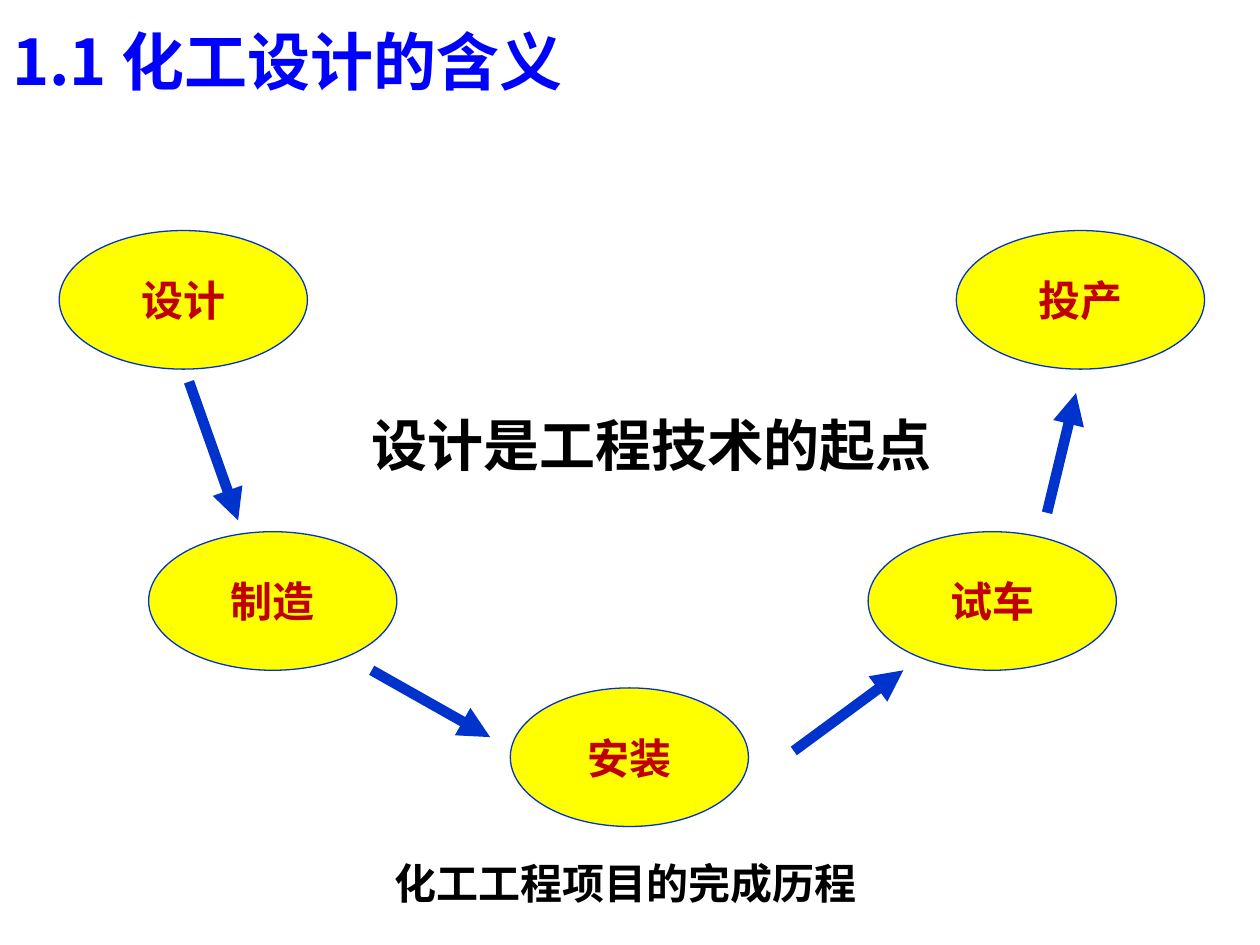
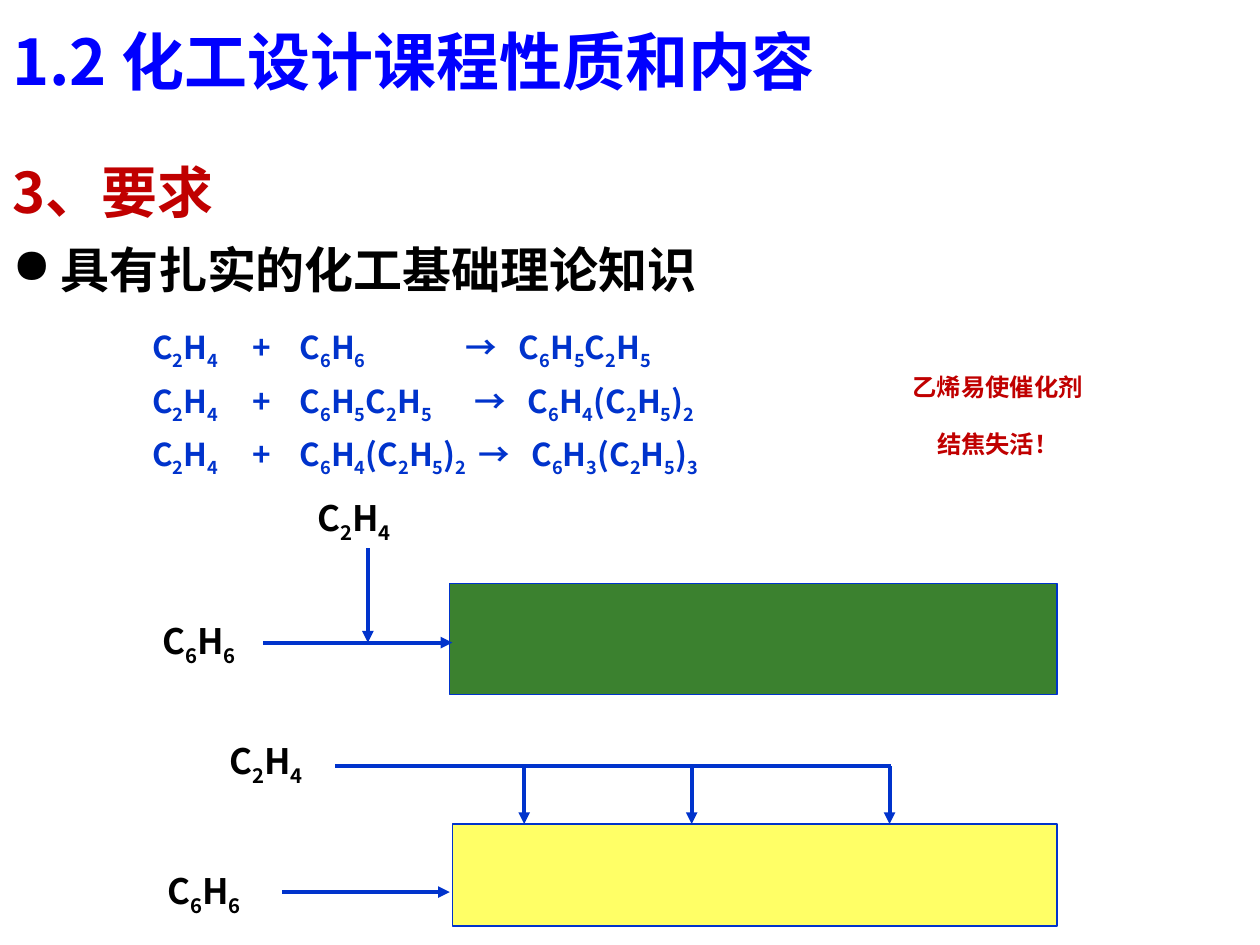
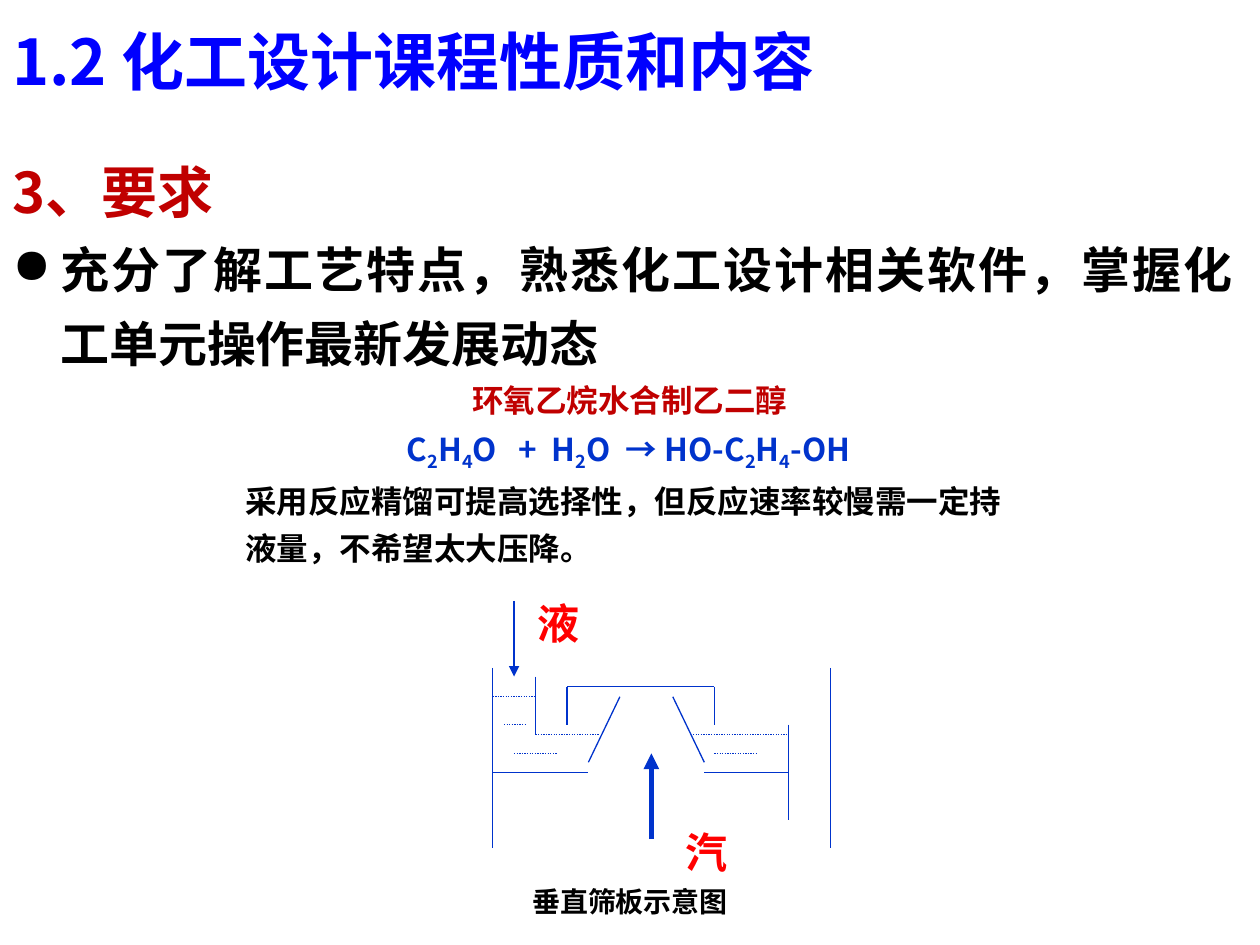
import itertools
from dataclasses import dataclass

import pptx
import pptx.dml.color
import pptx.enum.dml
import pptx.enum.shapes
import pptx.enum.text
import pptx.oxml
import pptx.oxml.ns
import pptx.util
from lxml import etree

Inches = pptx.util.Inches
Align = pptx.enum.text.PP_ALIGN
Shape = pptx.enum.shapes.MSO_SHAPE
qn = pptx.oxml.ns.qn


@dataclass(frozen=True)
class Theme:
    font: str = "Noto Sans CJK SC"
    title: str = "0000FF"
    accent: str = "C00000"
    label: str = "FF0000"
    ink: str = "000000"
    line: str = "0033CC"
    oval: str = "FFFF00"
    reactor: str = "3B812F"
    staged_reactor: str = "FFFF66"
    title_size: int = 36
    heading_size: int = 32
    point_size: int = 28
    label_size: int = 24
    formula_size: int = 20
    text_size: int = 18
    caption_size: int = 16
    spacing: float = 1.25
    thin: float = 0.75
    medium: float = 2.25
    thick: float = 6


THEME = Theme()


# Text
def rgb(color):
    return pptx.dml.color.RGBColor.from_string(color)


def style_paragraph(para, size, color, align=None, spacing=None):
    para.alignment = align
    if spacing:
        para.line_spacing = spacing
    font = para.font
    font.size = pptx.util.Pt(size)
    font.bold = True
    font.color.rgb = rgb(color)
    font.name = THEME.font
    etree.SubElement(font._rPr, qn("a:ea")).set("typeface", THEME.font)


def add_span(para, text, lowered=False):
    span = para.add_run()
    span.text = text
    if lowered:
        span._r.get_or_add_rPr().set("baseline", "-25000")


def add_formula(para, text):
    """Write a chemical formula with every number as a subscript."""
    for lowered, letters in itertools.groupby(text, str.isdigit):
        add_span(para, "".join(letters), lowered)


def set_tabs(para, stops):
    tabs = etree.SubElement(para._p.get_or_add_pPr(), qn("a:tabLst"))
    for stop in stops:
        etree.SubElement(tabs, qn("a:tab"), pos=str(Inches(stop)), algn="l")


def set_hanging(para, indent, bullet=None):
    props = para._p.get_or_add_pPr()
    props.set("marL", str(Inches(indent)))
    props.set("indent", str(-Inches(indent)))
    if bullet:
        etree.SubElement(props, qn("a:buChar")).set("char", bullet)


def add_frame(page, left, top, width, height):
    box = page.shapes.add_textbox(*map(Inches, (left, top, width, height)))
    box.text_frame.word_wrap = True
    return box.text_frame


def add_label(page, place, text, size, color, align=None, write=add_span):
    para = add_frame(page, *place).paragraphs[0]
    write(para, text)
    style_paragraph(para, size, color, align)


def add_title(page, text):
    add_label(page, (0, 0.13, 10, 0.75), text, THEME.title_size, THEME.title)


def add_requirement(page, text, height):
    frame = add_frame(page, 0, 1.07, 9.88, height)
    heading, point = frame.paragraphs[0], frame.add_paragraph()
    add_span(heading, "3、要求")
    set_hanging(heading, 0.62)
    style_paragraph(heading, THEME.heading_size, THEME.accent, Align.JUSTIFY, THEME.spacing)
    add_span(point, text)
    set_hanging(point, 0.38, "●")
    style_paragraph(point, THEME.point_size, THEME.ink, Align.JUSTIFY, THEME.spacing)


# Shapes and lines
def add_block(page, kind, place, fill):
    block = page.shapes.add_shape(kind, *map(Inches, place))
    block.shadow.inherit = False
    block.fill.solid()
    block.fill.fore_color.rgb = rgb(fill)
    block.line.color.rgb = rgb(THEME.line)
    block.line.width = pptx.util.Pt(THEME.thin)
    return block


def add_step(page, text, left, top, width=1.97):
    frame = add_block(page, Shape.OVAL, (left, top, width, 1.1), THEME.oval).text_frame
    frame.word_wrap = False
    frame.vertical_anchor = pptx.enum.text.MSO_ANCHOR.MIDDLE
    add_span(frame.paragraphs[0], text)
    style_paragraph(frame.paragraphs[0], THEME.label_size, THEME.accent, Align.CENTER)


def add_line(page, ends, width=THEME.thin, arrow=False, dotted=False):
    line = page.shapes.add_connector(
        pptx.enum.shapes.MSO_CONNECTOR.STRAIGHT, *map(Inches, ends))
    line.line.color.rgb = rgb(THEME.line)
    line.line.width = pptx.util.Pt(width)
    if dotted:
        line.line.dash_style = pptx.enum.dml.MSO_LINE.ROUND_DOT
    if arrow:
        etree.SubElement(line.line._get_or_add_ln(), qn("a:tailEnd")).set("type", "triangle")
    etree.SubElement(line._element.spPr, qn("a:effectLst"))


# Slides
def build_meaning(page):
    add_title(page, "1.1 化工设计的含义")
    add_step(page, "设计", 0.47, 1.83)
    add_step(page, "制造", 1.18, 4.22)
    add_step(page, "安装", 4.05, 5.46, 1.89)
    add_step(page, "试车", 6.89, 4.22)
    add_step(page, "投产", 7.59, 1.83)
    for ends in ((1.5, 3.03, 1.89, 4.13), (2.95, 5.32, 3.89, 5.85),
                 (6.3, 5.96, 7.17, 5.32), (8.31, 4.07, 8.54, 3.12)):
        add_line(page, ends, THEME.thick, arrow=True)
    add_label(page, (3.03, 6.76, 4.22, 0.5), "化工工程项目的完成历程",
              THEME.label_size, THEME.ink)
    add_label(page, (2.75, 3.21, 4.84, 0.64), "设计是工程技术的起点",
              THEME.heading_size, THEME.ink, Align.CENTER)


def add_reactions(page):
    frame = add_frame(page, 1.11, 2.47, 5.77, 1.2)
    reactions = (("C6H6", "C6H5C2H5", 2.49), ("C6H5C2H5", "C6H4(C2H5)2", 2.56),
                 ("C6H4(C2H5)2", "C6H3(C2H5)3", 2.59))
    for index, (reactant, product, arrow_stop) in enumerate(reactions):
        para = frame.add_paragraph() if index else frame.paragraphs[0]
        add_formula(para, f"C2H4\t+\t{reactant}\t→\t{product}")
        para.line_spacing = THEME.spacing
        set_tabs(para, (0.8, 1.17, arrow_stop, arrow_stop + 0.42))
        style_paragraph(para, THEME.text_size, THEME.line)


def build_theory(page):
    add_title(page, "1.2 化工设计课程性质和内容")
    add_requirement(page, "具有扎实的化工基础理论知识", 1.34)
    add_reactions(page)

    # Staged feed
    add_block(page, Shape.RECTANGLE, (3.59, 6.54, 4.8, 0.81), THEME.staged_reactor)
    add_line(page, (2.66, 6.08, 7.07, 6.08), THEME.medium)
    for inlet in (4.16, 5.49, 7.06):
        add_line(page, (inlet, 6.08, inlet, 6.54), THEME.medium, arrow=True)
    add_line(page, (2.24, 7.08, 3.57, 7.08), THEME.medium, arrow=True)

    # Single feed
    add_block(page, Shape.RECTANGLE, (3.57, 4.63, 4.82, 0.88), THEME.reactor)
    add_line(page, (2.09, 5.1, 3.59, 5.1), THEME.medium, arrow=True)
    add_line(page, (2.92, 4.35, 2.92, 5.1), THEME.medium, arrow=True)

    for formula, left, top in (("C2H4", 1.72, 5.82), ("C6H6", 1.23, 6.85),
                               ("C2H4", 2.42, 3.89), ("C6H6", 1.19, 4.87)):
        add_label(page, (left, top, 1.1, 0.44), formula, THEME.formula_size,
                  THEME.ink, write=add_formula)

    # Warning
    frame = add_frame(page, 6.5, 2.68, 2.84, 0.77)
    for para, text in ((frame.paragraphs[0], "乙烯易使催化剂"),
                       (frame.add_paragraph(), "结焦失活！")):
        add_span(para, text, lowered=True)
        style_paragraph(para, THEME.label_size, THEME.accent, Align.CENTER)


def add_hydration(page):
    frame = add_frame(page, 1.85, 2.9, 6.3, 1.65)
    heading, equation, remark = (
        frame.paragraphs[0], frame.add_paragraph(), frame.add_paragraph())
    add_span(heading, "环氧乙烷水合制乙二醇")
    style_paragraph(heading, THEME.text_size, THEME.accent, Align.CENTER, THEME.spacing)
    add_formula(equation, "\tC2H4O\t+\tH2O\t→ HO-C2H4-OH")
    equation.line_spacing = THEME.spacing
    set_tabs(equation, (1.28, 2.17, 2.43, 3.02))
    style_paragraph(equation, THEME.text_size, THEME.line)
    add_span(remark, "采用反应精馏可提高选择性，但反应速率较慢需一定持液量，不希望太大压降。")
    style_paragraph(remark, THEME.text_size, THEME.ink, spacing=THEME.spacing)


def build_process(page):
    add_title(page, "1.2 化工设计课程性质和内容")
    add_requirement(page, "充分了解工艺特点，熟悉化工设计相关软件，掌握化工单元操作最新发展动态", 1.89)
    add_hydration(page)

    # Column walls, tray floor, riser, cap and weirs
    for ends in ((3.91, 5.3, 3.91, 6.73), (6.59, 5.3, 6.59, 6.73),
                 (3.91, 6.13, 4.67, 6.13), (5.59, 6.13, 6.26, 6.13),
                 (4.92, 5.53, 4.67, 6.05), (5.34, 5.53, 5.59, 6.05),
                 (4.5, 5.45, 4.5, 5.75), (4.5, 5.45, 5.67, 5.45),
                 (5.67, 5.45, 5.67, 5.75), (6.26, 5.75, 6.26, 6.51),
                 (4.25, 5.37, 4.25, 5.83)):
        add_line(page, ends)

    # Liquid levels
    for start, end, level in ((3.91, 4.25, 5.53), (4, 4.17, 5.75), (4.25, 4.75, 5.83),
                              (5.5, 6.26, 5.83), (4.08, 4.42, 5.98), (5.67, 6.01, 5.98)):
        add_line(page, (start, level, end, level), dotted=True)

    # Vapour and liquid flows
    add_line(page, (5.17, 6.66, 5.17, 5.98), 3, arrow=True)
    add_line(page, (4.08, 4.77, 4.08, 5.37), 1.5, arrow=True)
    for text, left, top in (("液", 4.17, 4.69), ("汽", 5.34, 6.51)):
        add_label(page, (left, top, 0.7, 0.51), text, THEME.label_size, THEME.label)
    add_label(page, (0, 6.97, 10, 0.37), "垂直筛板示意图",
              THEME.caption_size, THEME.ink, Align.CENTER)


def main():
    deck = pptx.Presentation()
    deck.slide_width, deck.slide_height = Inches(10), Inches(7.5)
    for build in (build_meaning, build_theory, build_process):
        build(deck.slides.add_slide(deck.slide_layouts[6]))
    deck.save("out.pptx")


if __name__ == "__main__":
    main()
